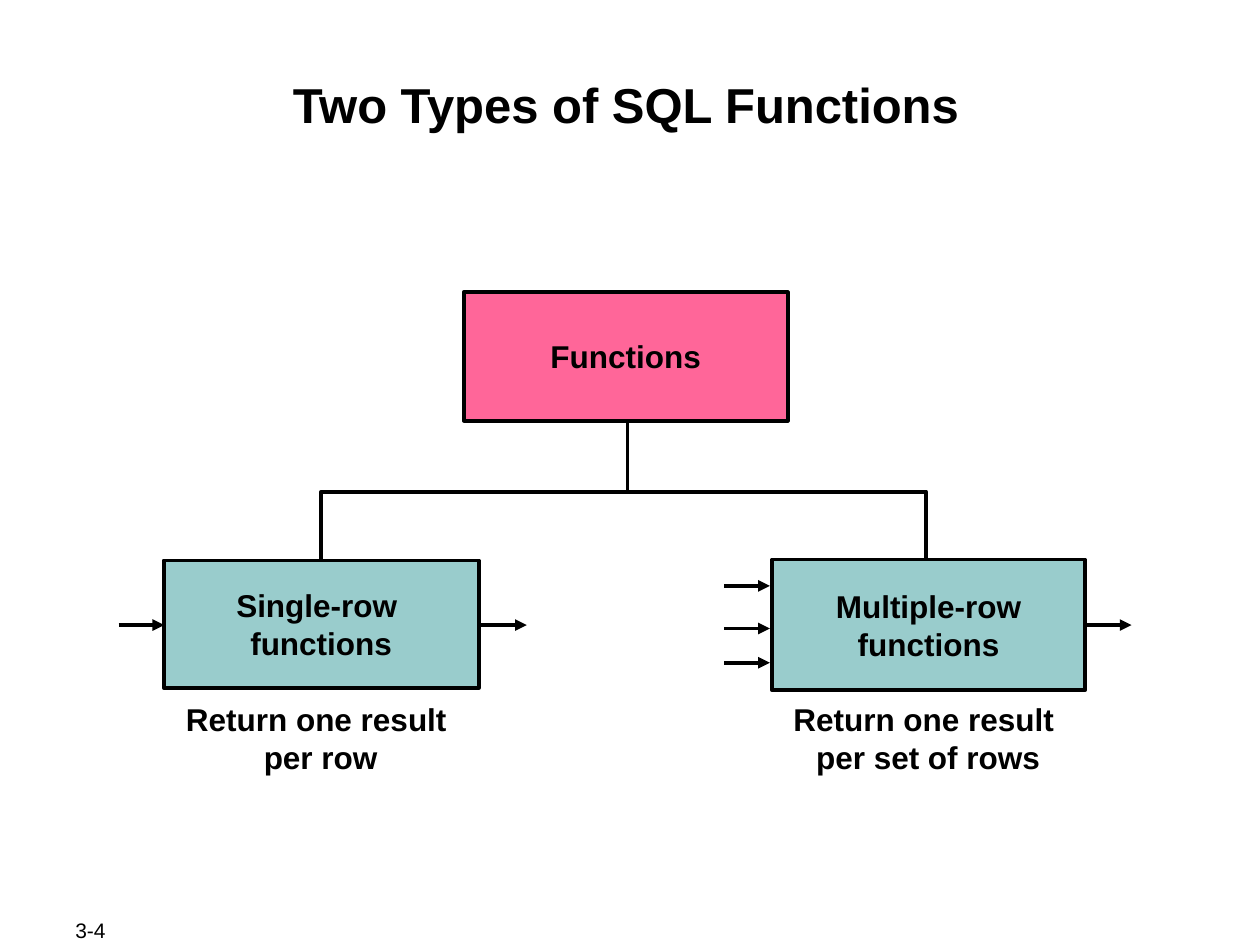
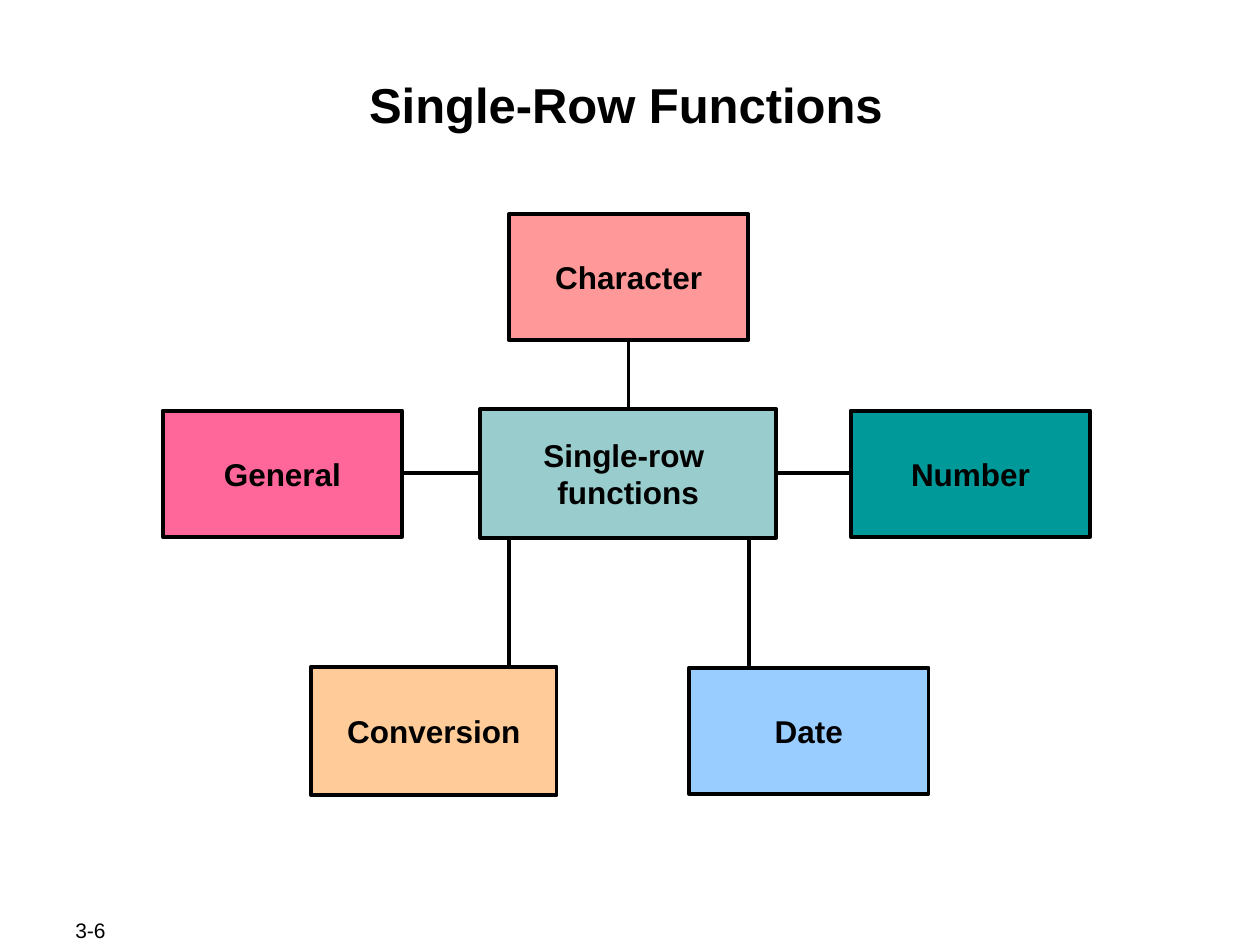
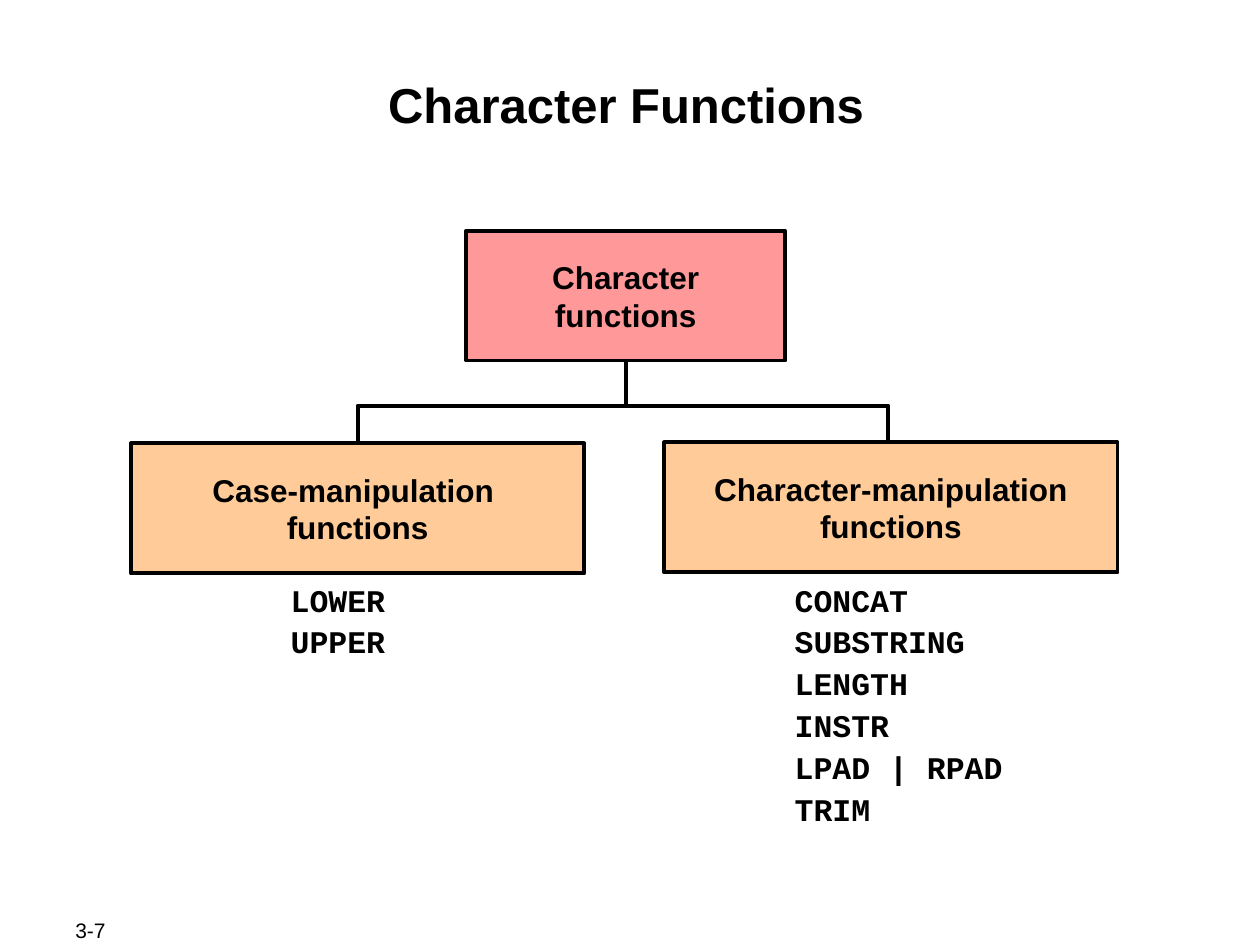
"""Build three slides of diagrams about SQL functions."""
import dataclasses

import lxml.etree
import pptx
import pptx.dml.color
import pptx.enum.shapes
import pptx.enum.text
import pptx.oxml.ns
import pptx.util

Cm, Pt = pptx.util.Cm, pptx.util.Pt
RGB = pptx.dml.color.RGBColor.from_string
ALIGN, ANCHOR = pptx.enum.text.PP_ALIGN, pptx.enum.text.MSO_ANCHOR
qn = pptx.oxml.ns.qn


@dataclasses.dataclass(frozen=True)
class Theme:
    ink: str = "000000"
    paper: str = "FFFFFF"
    pink: str = "FF6699"
    salmon: str = "FF9999"
    peach: str = "FFCC99"
    aqua: str = "99CCCC"
    teal: str = "009999"
    sky: str = "99CCFF"
    font: str = "Arial"
    code_font: str = "Courier New"
    title_size: int = 28
    body_size: int = 18
    page_size: int = 12
    line_width: float = 2.25


theme = Theme()


def add_text(slide, text, at, fill=None, size=theme.body_size, font=theme.font, bold=True,
             align=ALIGN.CENTER, anchor=ANCHOR.MIDDLE, wrap=False, inset=(0.25, 0.13),
             before=0, spacing=None):
    place = [Cm(length) for length in at]
    if fill:
        holder = slide.shapes.add_shape(pptx.enum.shapes.MSO_SHAPE.RECTANGLE, *place)
        holder.shadow.inherit = False
        holder.fill.solid()
        holder.fill.fore_color.rgb = RGB(fill)
        holder.line.color.rgb = RGB(theme.ink)
        holder.line.width = Pt(theme.line_width)
    else:
        holder = slide.shapes.add_textbox(*place)
    frame = holder.text_frame
    frame.word_wrap = wrap
    frame.vertical_anchor = anchor
    frame.margin_left = frame.margin_right = Cm(inset[0])
    frame.margin_top = frame.margin_bottom = Cm(inset[1])
    frame.text = text
    for paragraph in frame.paragraphs:
        paragraph.alignment = align
        paragraph.space_before = Pt(before)
        paragraph.line_spacing = spacing
        for run in paragraph.runs:
            run.font.name = font
            run.font.size = Pt(size)
            run.font.bold = bold
            run.font.color.rgb = RGB(theme.ink)


def add_path(slide, *points, arrow=False):
    corners = [(Cm(x), Cm(y)) for x, y in points]
    if len(corners) == 2:
        path = slide.shapes.add_connector(
            pptx.enum.shapes.MSO_CONNECTOR.STRAIGHT, *corners[0], *corners[1])
    else:
        builder = slide.shapes.build_freeform(*corners[0])
        builder.add_line_segments(corners[1:], close=False)
        path = builder.convert_to_shape()
        path.fill.background()
    path.line.color.rgb = RGB(theme.ink)
    path.line.width = Pt(theme.line_width)
    if arrow:
        lxml.etree.SubElement(path.line._get_or_add_ln(), qn("a:tailEnd"), type="triangle")
    lxml.etree.SubElement(path._element.spPr, qn("a:effectLst"))


deck = pptx.Presentation()
deck.slide_width, deck.slide_height = Cm(25.4), Cm(19.05)
slides = []
for page, title in (("3-4", "Two Types of SQL Functions"),
                    ("3-6", "Single-Row Functions"),
                    ("3-7", "Character Functions")):
    slide = deck.slides.add_slide(deck.slide_layouts[6])
    slide.background.fill.solid()
    slide.background.fill.fore_color.rgb = RGB(theme.paper)
    add_text(slide, page, (1.27, 18.49, 2.69, 0.51), size=theme.page_size, bold=False,
             align=ALIGN.LEFT, wrap=True)
    add_text(slide, title, (2.46, 1.47, 20.32, 2.44), size=theme.title_size,
             anchor=ANCHOR.TOP, wrap=True, inset=(0.03, 0.03), before=7)
    slides.append(slide)
types_slide, single_row_slide, character_slide = slides

add_path(types_slide, (12.65, 9.91), (12.65, 7.7))
add_path(types_slide, (6.48, 11.28), (6.48, 9.91), (18.67, 9.91), (18.67, 11.38))
for label, at, fill in (
    ("Functions", (9.35, 5.89, 6.53, 2.59), theme.pink),
    ("Single-row \nfunctions", (3.3, 11.3, 6.35, 2.57), theme.aqua),
    ("Multiple-row\nfunctions", (15.57, 11.28, 6.3, 2.64), theme.aqua),
    ("Return one result \nper row", (2.16, 14.2, 8.61, 1.35), None),
    ("Return one result \nper set of rows", (13.82, 14.2, 9.78, 1.35), None),
):
    add_text(types_slide, label, at, fill=fill)
for left, y in ((2.39, 12.6), (9.7, 12.6), (21.89, 12.6),
                (14.6, 11.81), (14.6, 12.67), (14.6, 13.36)):
    add_path(types_slide, (left, y), (left + 0.92, y), arrow=True)

hub_x, hub_y = 12.67, 9.54
for start, end in (
    ((10.26, hub_y), (10.26, 13.5)),
    ((15.09, hub_y), (15.09, 13.5)),
    ((hub_x, hub_y), (hub_x, 6.27)),
    ((hub_x, hub_y), (7.01, hub_y)),
    ((hub_x, hub_y), (18.64, hub_y)),
):
    add_path(single_row_slide, start, end)
for label, at, fill in (
    ("Conversion", (6.27, 13.44, 4.95, 2.59), theme.peach),
    ("Character", (10.26, 4.32, 4.83, 2.54), theme.salmon),
    ("Number", (17.15, 8.28, 4.83, 2.54), theme.teal),
    ("Date", (13.89, 13.46, 4.83, 2.54), theme.sky),
    ("General", (3.28, 8.28, 4.83, 2.54), theme.pink),
    ("Single-row \nfunctions", (9.68, 8.25, 5.97, 2.59), theme.aqua),
):
    add_text(single_row_slide, label, at, fill=fill)

add_path(character_slide, (12.62, 8.18), (12.62, 7.26))
add_path(character_slide, (7.21, 9.55), (7.21, 8.18), (17.91, 8.18), (17.91, 9.65))
for label, at, fill in (
    ("Character\nfunctions", (9.4, 4.65, 6.43, 2.62), theme.salmon),
    ("Case-manipulation \nfunctions", (2.64, 8.94, 9.14, 2.62), theme.peach),
    ("Character-manipulation\nfunctions", (13.39, 8.92, 9.14, 2.62), theme.peach),
):
    add_text(character_slide, label, at, fill=fill)
for names, left, width, height in (
    (("LOWER", "UPPER"), 5.61, 2.6, 1.78),
    (("CONCAT", "SUBSTRING", "LENGTH", "INSTR", "LPAD | RPAD", "TRIM"), 15.77, 4.78, 5.16),
):
    add_text(character_slide, "\n".join(names), (left, 11.66, width, height),
             font=theme.code_font, align=ALIGN.LEFT, anchor=ANCHOR.TOP, wrap=True,
             before=4.5, spacing=0.9)

deck.save("out.pptx")
